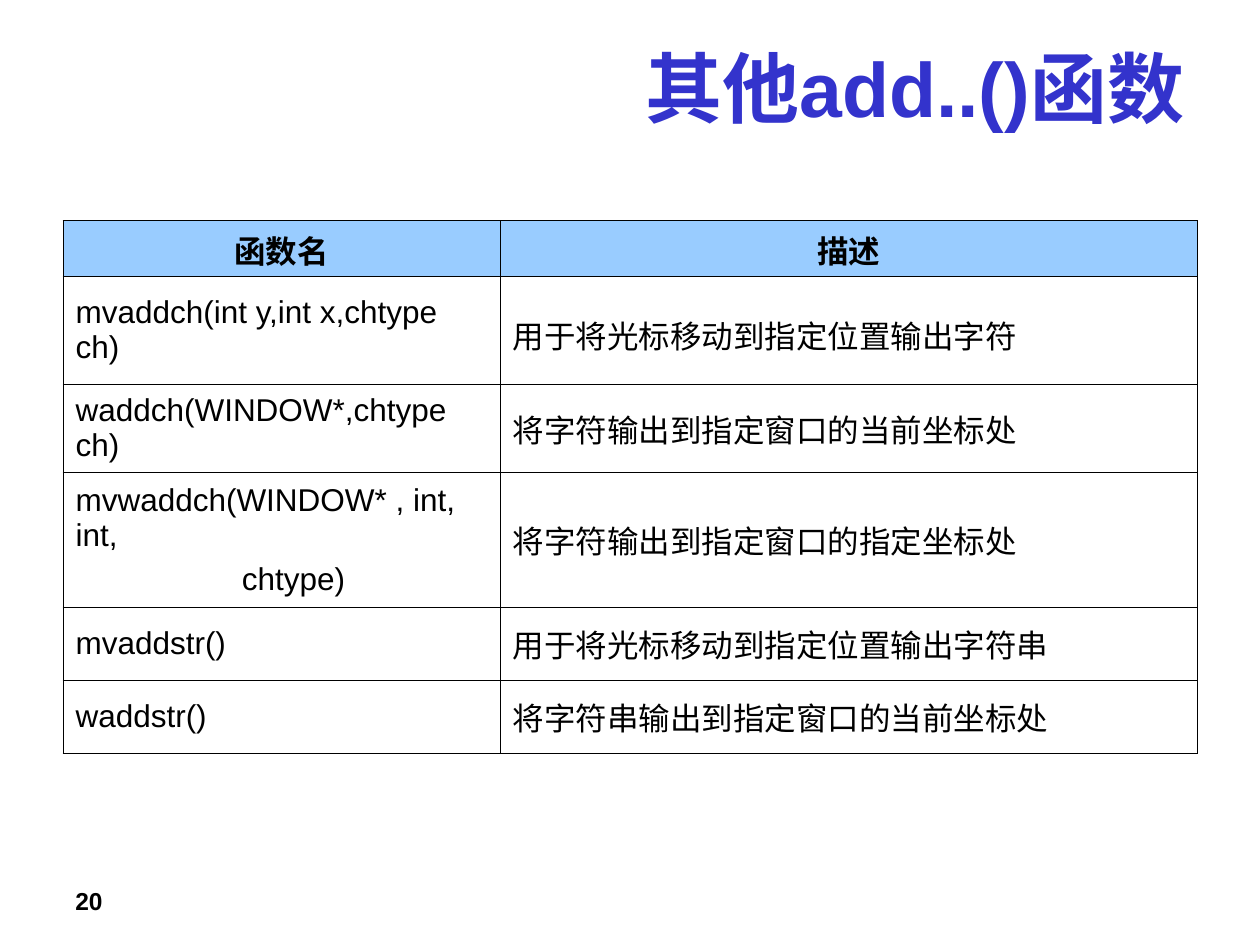
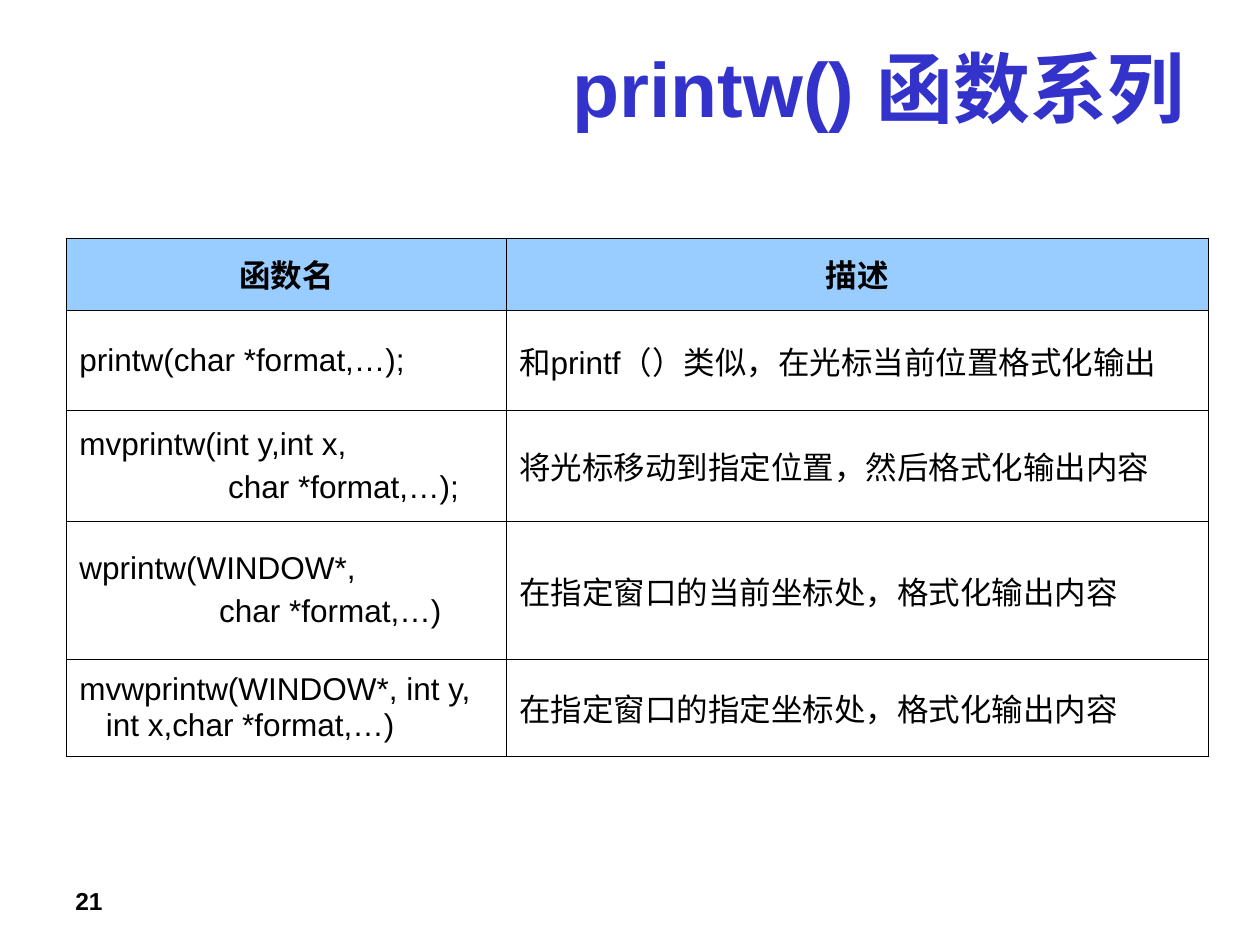
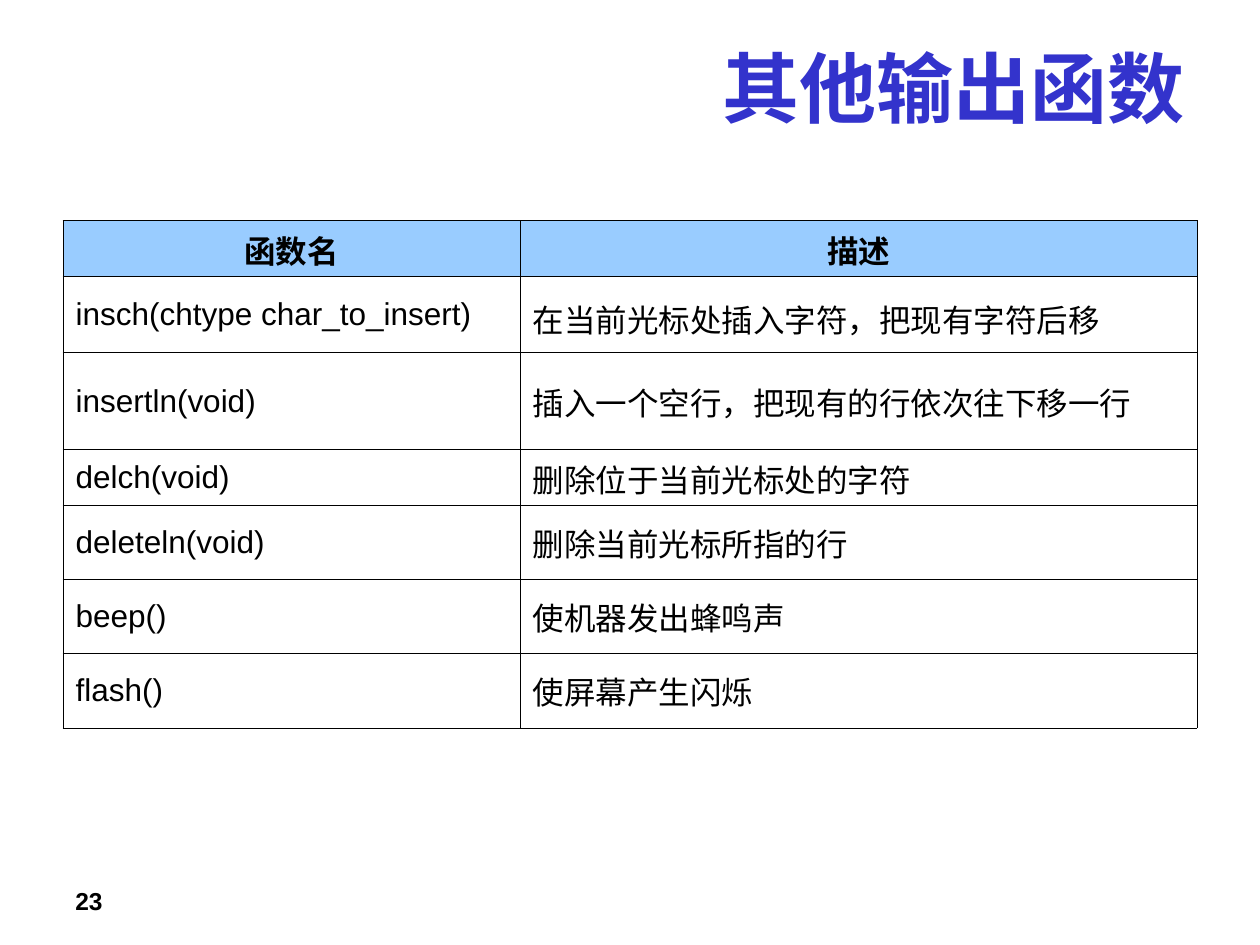
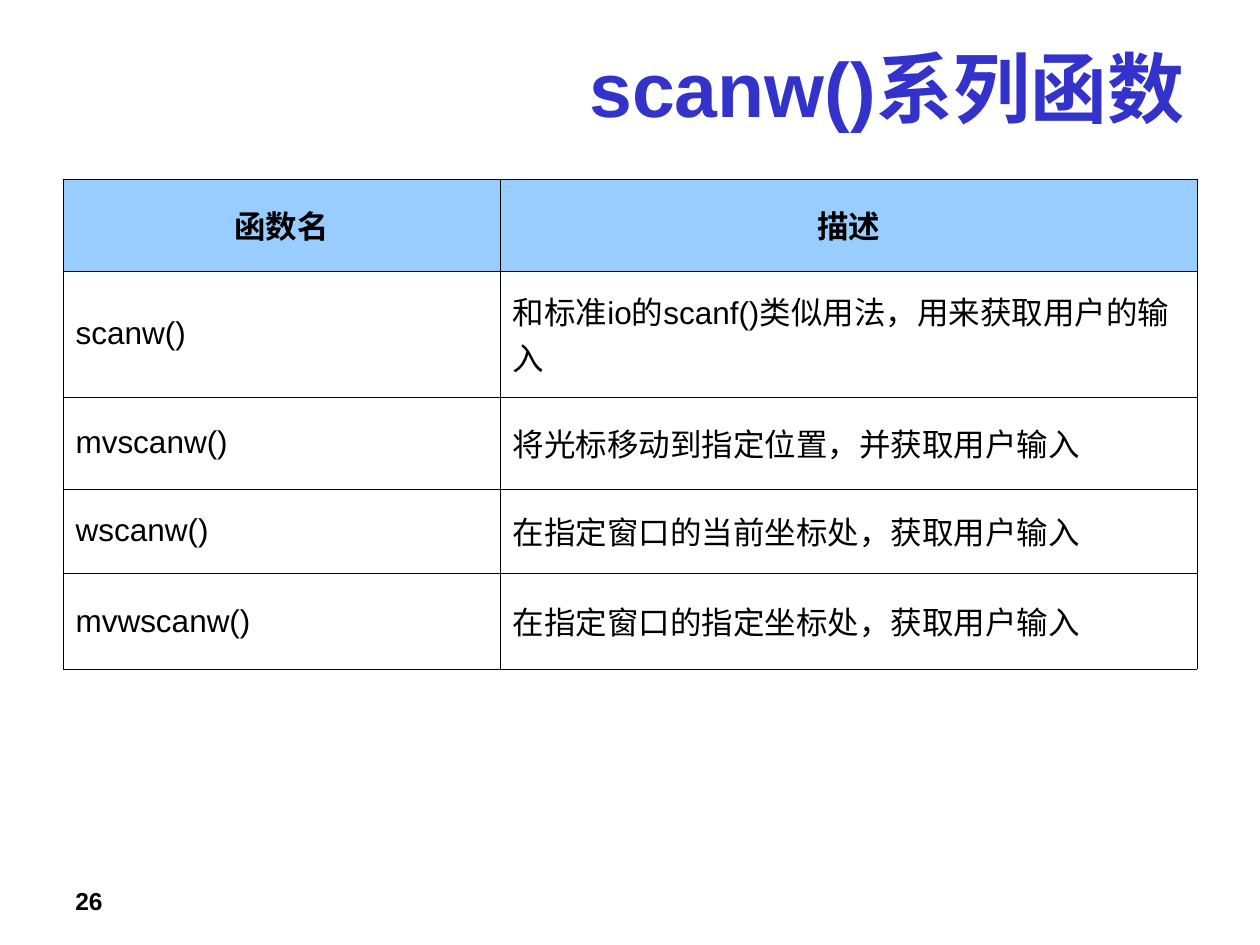
from dataclasses import dataclass

from lxml.etree import SubElement
from pptx import Presentation
from pptx.dml.color import RGBColor
from pptx.enum.text import MSO_ANCHOR, PP_ALIGN
from pptx.oxml import parse_xml
from pptx.oxml.ns import nsdecls, qn
from pptx.util import Inches, Pt

FONT = "Arial"
TITLE_COLOR = "3333CC"
TEXT_COLOR = "000000"
BORDER_COLOR = "000000"
HEADER_FILL = "99CCFF"
TITLE_BOX = (0.5, 0.25, 9, 0.87)
NUMBER_BOX = (0.5, 6.98, 2.33, 0.24)
HEADERS = ("函数名", "描述")


@dataclass
class Line:
    text: str
    left: float = 0
    first: float = 0
    before: float = 4.5
    tail_size: int = 0


def color(value):
    return RGBColor.from_string(value)


def add_span(para, text, size, fill=TEXT_COLOR, bold=False):
    span = para.add_run()
    span.text = text
    span.font.name = FONT
    span.font.size = Pt(size)
    span.font.bold = bold
    span.font.color.rgb = color(fill)


def add_text(page, box, text, size, fill, align, anchor):
    frame = page.shapes.add_textbox(*map(Inches, box)).text_frame
    frame.word_wrap = True
    frame.vertical_anchor = anchor
    para = frame.paragraphs[0]
    para.alignment = align
    add_span(para, text, size, fill, True)


def add_borders(cell):
    properties = cell._tc.get_or_add_tcPr()
    for position, side in enumerate(("lnL", "lnR", "lnT", "lnB")):
        border = parse_xml(f'<a:{side} {nsdecls("a")} w="{Pt(0.45)}"/>')
        fill = SubElement(border, qn("a:solidFill"))
        SubElement(fill, qn("a:srgbClr")).set("val", BORDER_COLOR)
        properties.insert(position, border)


def fill_cell(cell, lines, header):
    cell.vertical_anchor = MSO_ANCHOR.MIDDLE
    cell.margin_left = cell.margin_right = Inches(0.1)
    cell.margin_top = cell.margin_bottom = Inches(0.05)
    if header:
        cell.fill.solid()
        cell.fill.fore_color.rgb = color(HEADER_FILL)
    else:
        cell.fill.background()
    add_borders(cell)
    frame = cell.text_frame
    for index, line in enumerate(lines):
        para = frame.add_paragraph() if index else frame.paragraphs[0]
        para.alignment = PP_ALIGN.CENTER if header else PP_ALIGN.LEFT
        para.space_before = Pt(line.before)
        indents = para._p.get_or_add_pPr()
        indents.set("marL", str(Inches(line.left)))
        indents.set("indent", str(Inches(line.first)))
        add_span(para, line.text, 18, bold=header)
        if line.tail_size:
            add_span(para, " ", line.tail_size)


def as_lines(content):
    parts = content if isinstance(content, list) else [content]
    return [Line(part) if isinstance(part, str) else part for part in parts]


def add_function_table(page, box, name_width, heights, entries):
    rows = [HEADERS, *entries]
    table = page.shapes.add_table(len(rows), 2, *map(Inches, box)).table
    table.first_row = table.horz_banding = False
    for column, width in zip(table.columns, (name_width, box[2] - name_width)):
        column.width = Inches(width)
    for index, (row, height, contents) in enumerate(zip(table.rows, heights, rows)):
        row.height = Inches(height)
        for cell, content in zip(row.cells, contents):
            fill_cell(cell, as_lines(content), index == 0)


def add_function_page(deck, number, title, box, name_width, heights, entries):
    page = deck.slides.add_slide(deck.slide_layouts[6])
    add_text(page, TITLE_BOX, title, 44, TITLE_COLOR, PP_ALIGN.RIGHT, MSO_ANCHOR.MIDDLE)
    add_function_table(page, box, name_width, heights, entries)
    add_text(page, NUMBER_BOX, str(number), 14, TEXT_COLOR, PP_ALIGN.LEFT, MSO_ANCHOR.TOP)


PAGES = [
    (20, "其他add..()函数", (0.5, 1.75, 9, 4.23), 3.47,
     (0.44, 0.86, 0.7, 1.07, 0.58, 0.58), [
         ("mvaddch(int y,int x,chtype ch)",
          Line("用于将光标移动到指定位置输出字符", before=6, tail_size=24)),
         ("waddch(WINDOW*,chtype ch)", "将字符输出到指定窗口的当前坐标处"),
         (["mvwaddch(WINDOW* , int, int,", Line("chtype)", left=1.32)],
          "将字符输出到指定窗口的指定坐标处"),
         ("mvaddstr()", "用于将光标移动到指定位置输出字符串"),
         ("waddstr()", "将字符串输出到指定窗口的当前坐标处"),
     ]),
    (21, "printw() 函数系列", (0.53, 1.89, 9.06, 4.11), 3.49,
     (0.57, 0.8, 0.88, 1.09, 0.77), [
         ("printw(char *format,…);", "和printf（）类似，在光标当前位置格式化输出"),
         (["mvprintw(int y,int x,", Line("char *format,…);", left=1.18)],
          "将光标移动到指定位置，然后格式化输出内容"),
         (["wprintw(WINDOW*,", Line("char *format,…)", left=1.11)],
          "在指定窗口的当前坐标处，格式化输出内容"),
         (Line("mvwprintw(WINDOW*, int y, int x,char *format,…)", left=0.21, first=-0.21),
          "在指定窗口的指定坐标处，格式化输出内容"),
     ]),
    (23, "其他输出函数", (0.5, 1.75, 9, 4.03), 3.63,
     (0.44, 0.61, 0.77, 0.44, 0.59, 0.59, 0.59), [
         ("insch(chtype char_to_insert)",
          Line("在当前光标处插入字符，把现有字符后移", before=6, tail_size=24)),
         ("insertln(void)", "插入一个空行，把现有的行依次往下移一行"),
         ("delch(void)", "删除位于当前光标处的字符"),
         ("deleteln(void)", "删除当前光标所指的行"),
         ("beep()", "使机器发出蜂鸣声"),
         ("flash()", "使屏幕产生闪烁"),
     ]),
    (26, "scanw()系列函数", (0.5, 1.42, 9, 3.88), 3.47,
     (0.73, 1, 0.73, 0.67, 0.76), [
         ("scanw()", "和标准io的scanf()类似用法，用来获取用户的输入"),
         ("mvscanw()", "将光标移动到指定位置，并获取用户输入"),
         ("wscanw()", "在指定窗口的当前坐标处，获取用户输入"),
         ("mvwscanw()", "在指定窗口的指定坐标处，获取用户输入"),
     ]),
]


def main():
    deck = Presentation()
    deck.slide_width = Inches(10)
    deck.slide_height = Inches(7.5)
    for content in PAGES:
        add_function_page(deck, *content)
    deck.save("out.pptx")


if __name__ == "__main__":
    main()
